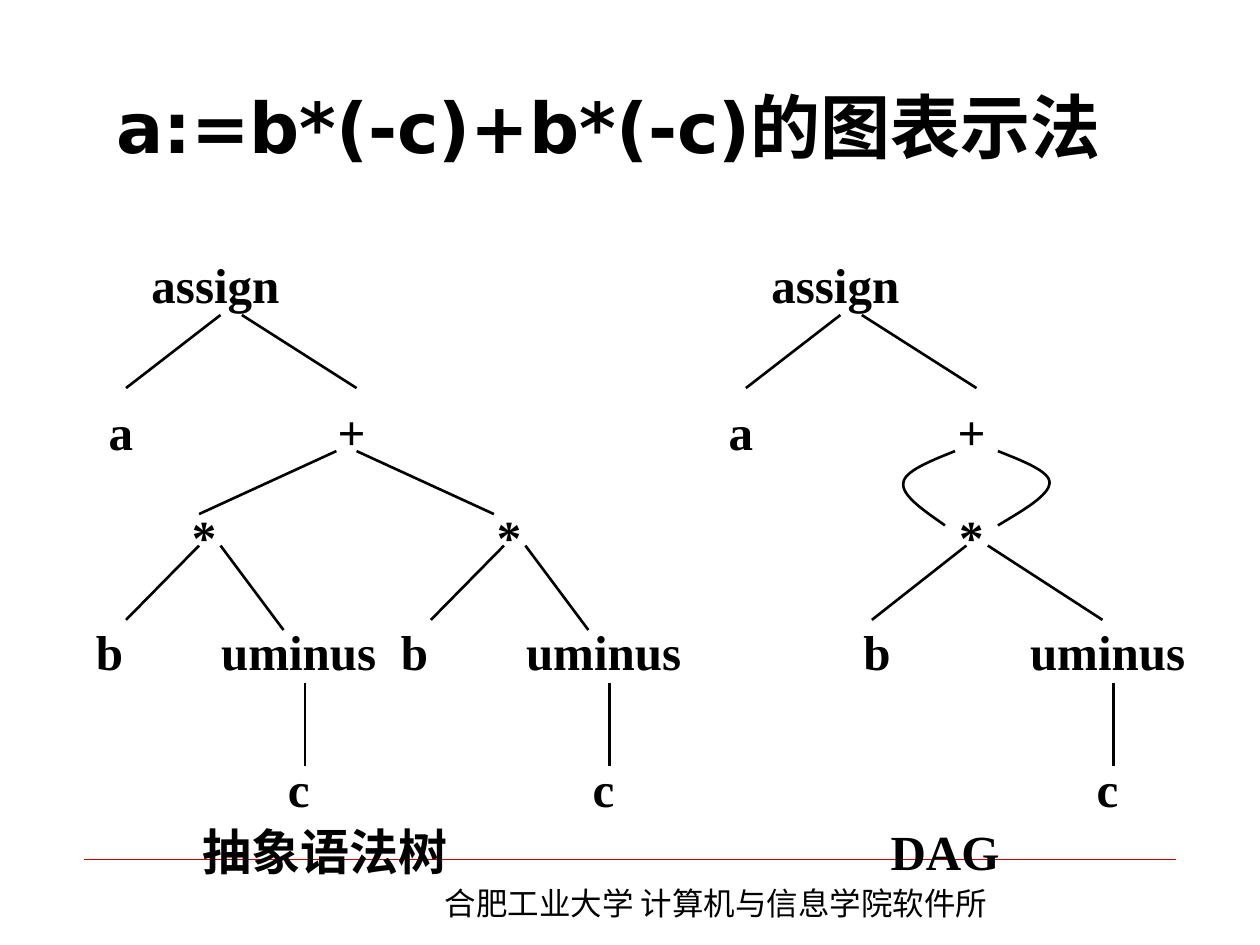
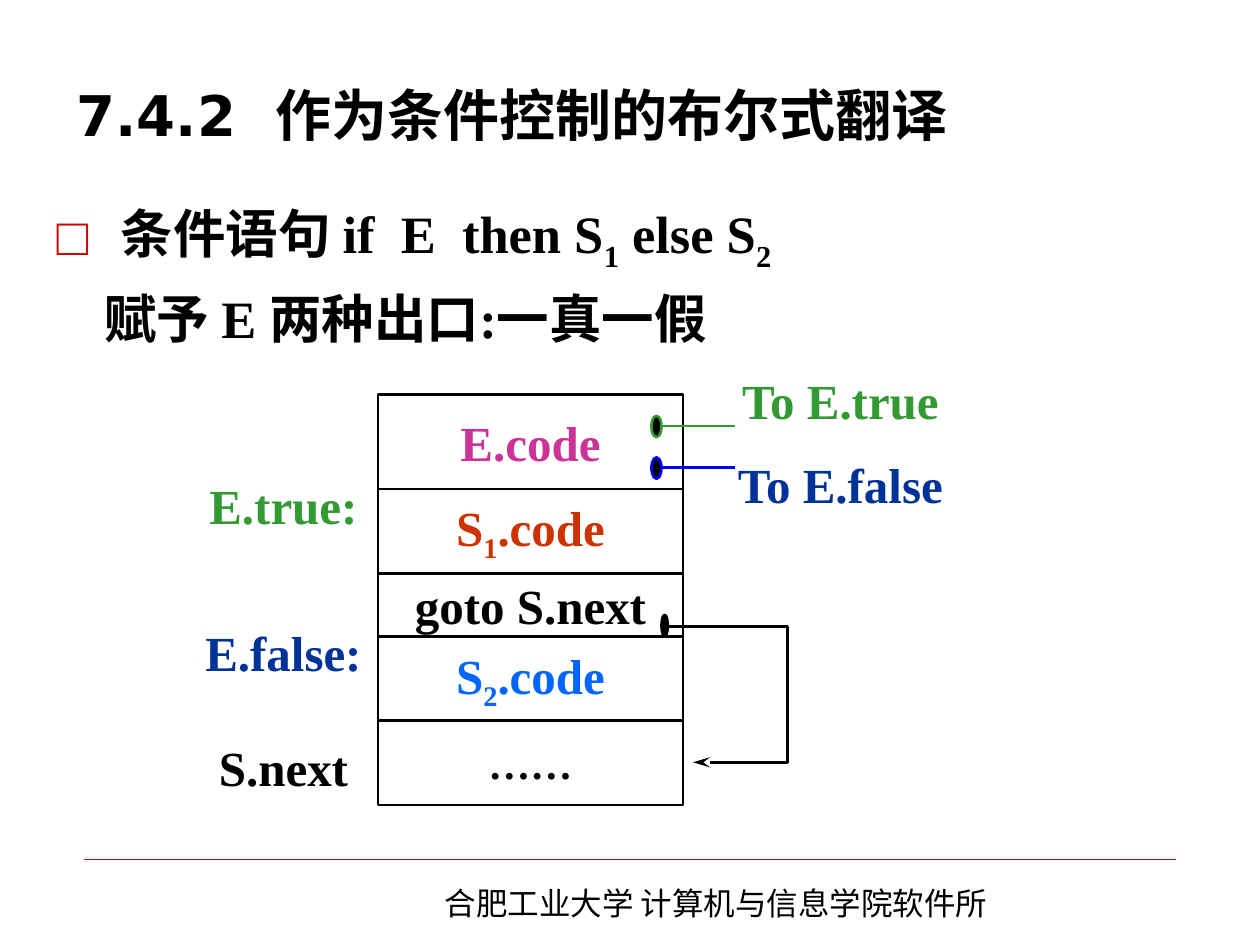
"""Build two slides on syntax graphs and the translation of Boolean conditions."""
from lxml.etree import SubElement
from pptx import Presentation
from pptx.dml.color import RGBColor as RGB
from pptx.enum.shapes import MSO_CONNECTOR as CON, MSO_SHAPE as SHAPE
from pptx.enum.text import MSO_ANCHOR as ANCHOR, PP_ALIGN as ALIGN
from pptx.oxml.ns import qn
from pptx.util import Inches, Pt

HUE = {"ink": "000000", "rule": "CC0000", "pink": "CC3399", "rust": "CC3300",
       "sky": "0066FF", "green": "339933", "navy": "003399", "blue": "0000FF"}
SERIF, SANS, HAN = "Times New Roman", "DejaVu Sans", "Noto Sans CJK SC"


def write(para, runs, tone="ink", size=28, face=SERIF, bold=True):
    for part in runs:
        run = para.add_run()
        run.text = part
        font = run.font
        font.size, font.bold, font.name = Pt(size), bold, face
        font.color.rgb = RGB.from_string(HUE[tone])
        props = run._r.get_or_add_rPr()
        SubElement(props, qn("a:ea")).set("typeface", HAN)
        if part.isdigit():
            props.set("baseline", "-25000")


def link(slide, x1, y1, x2, y2, tone="ink", width=1.5):
    line = slide.shapes.add_connector(
        CON.STRAIGHT, Inches(x1), Inches(y1), Inches(x2), Inches(y2))
    line.line.color.rgb = RGB.from_string(HUE[tone])
    line.line.width = Pt(width)
    SubElement(line._element.spPr, qn("a:effectLst"))


deck = Presentation()
deck.slide_width, deck.slide_height = Inches(10), Inches(7.5)

heads = [
    (" a:=b*(-c)+b*(-c)的图表示法", 40, (0.63, 0.33, 8.75, 1.33)),
    ("7.4.2  作为条件控制的布尔式翻译", 32, (0.51, 0.28, 8.67, 1.25)),
]
for words, size, area in heads:
    slide = deck.slides.add_slide(deck.slide_layouts[5])
    link(slide, 0.67, 6.82, 9.33, 6.82, "rule", 0.25)
    foot = slide.shapes.add_textbox(
        Inches(3.43), Inches(6.97), Inches(5.04), Inches(0.4))
    foot.text_frame.word_wrap = True
    write(foot.text_frame.paragraphs[0], ["合肥工业大学 计算机与信息学院软件所"],
          size=18, face=HAN, bold=False)
    title = slide.shapes.title
    title.left, title.top, title.width, title.height = map(Inches, area)
    title.text_frame.vertical_anchor = ANCHOR.MIDDLE
    title.text_frame.paragraphs[0].alignment = ALIGN.LEFT
    write(title.text_frame.paragraphs[0], [words], size=size, face=SANS)

graph, flow = deck.slides

labels = [
    (graph, "抽象语法树", 2.58, 6.75, 2.4, "ink"),
    (graph, "DAG", 7.5, 6.75, 1.67, "ink"),
    (flow, "To E.true", 6.67, 3.17, 2, "green"),
    (flow, "To E.false", 6.67, 3.84, 2, "navy"),
    (flow, "E.true:", 2.25, 4.01, 1.5, "green"),
    (flow, "E.false:", 2.25, 5.17, 1.5, "navy"),
    (flow, "S.next", 2.25, 6.09, 1.5, "ink"),
]

for root in (1.71, 6.63):
    labels += [(graph, "assign", root, 2.25, 1.6, "ink"),
               (graph, "a", root - 0.75, 3.42, 1.08, "ink"),
               (graph, "+", root + 1.08, 3.42, 1.08, "ink")]
    link(graph, root + 0.04, 2.5, root - 0.71, 3.08)
    link(graph, root + 0.21, 2.5, root + 1.12, 3.08)

link(graph, 2.67, 3.58, 1.58, 4.08)
link(graph, 2.83, 3.58, 3.92, 4.08)

stars = [(1.62, 0.62, 0.75, 0.63, 5), (4.04, 0.62, 0.75, 0.63, 5),
         (7.71, 0.79, 1.08, 1.04, 4.92)]
for star, left, gap, right, low in stars:
    leaf = star + gap
    labels += [(graph, "*", star, 4.25, 1.08, "ink"),
               (graph, "b", star - 0.75, 5.17, 1.08, "ink"),
               (graph, "uminus", leaf, 5.17, 1.6, "ink"),
               (graph, "c", leaf, 6.25, 1.08, "ink")]
    link(graph, star - 0.04, 4.33, star - left, 4.92)
    link(graph, star + 0.13, 4.33, star + right, low)
    link(graph, leaf + 0.05, 5.42, leaf + 0.05, 6.08)

knots = (3.58, 3.66, 3.74, 3.83, 3.93, 4.05, 4.17)
bends = [(7.58, 7.38, 7.18, 7.17, 7.15, 7.33, 7.5),
         (7.92, 8.12, 8.33, 8.33, 8.33, 8.12, 7.92)]
paths = []
for bend in bends:
    ctrl = list(zip(bend, knots))
    curve = [ctrl[0]]
    for k in (0, 3):
        for step in range(1, 17):
            t = step / 16
            mix = ((1 - t) ** 3, 3 * t * (1 - t) ** 2, 3 * t * t * (1 - t), t ** 3)
            curve.append(tuple(sum(m * p[axis] for m, p in zip(mix, ctrl[k:k + 4]))
                               for axis in (0, 1)))
    paths.append((graph, curve, False))
paths.append((flow, [(5.3, 4.97), (6.25, 4.97), (6.25, 6.05), (5.5, 6.05)], True))

for slide, points, arrow in paths:
    spots = [(Inches(x), Inches(y)) for x, y in points]
    pen = slide.shapes.build_freeform(*spots[0], scale=1.0)
    pen.add_line_segments(spots[1:], close=False)
    shape = pen.convert_to_shape()
    shape.shadow.inherit = False
    shape.fill.background()
    shape.line.color.rgb = RGB.from_string(HUE["ink"])
    shape.line.width = Pt(1.5)
    if arrow:
        tip = SubElement(shape.line._get_or_add_ln(), qn("a:tailEnd"))
        tip.set("type", "stealth")
        tip.set("len", "lg")

body = flow.shapes.add_textbox(
    Inches(0.35), Inches(1.55), Inches(8.65), Inches(1.42)).text_frame
body.word_wrap = True
first, second = body.paragraphs[0], body.add_paragraph()
for para, left, hang in ((first, 0.51, -0.51), (second, 0.38, 0)):
    props = para._p.get_or_add_pPr()
    props.set("marL", str(Inches(left)))
    props.set("indent", str(Inches(hang)))
    para.alignment = ALIGN.JUSTIFY
mark = first._p.get_or_add_pPr()
SubElement(SubElement(mark, qn("a:buClr")), qn("a:srgbClr")).set("val", HUE["rule"])
SubElement(mark, qn("a:buFont")).set("typeface", SERIF)
SubElement(mark, qn("a:buChar")).set("char", "□")
second.space_before = Pt(7.5)
write(first, ["条件语句 if  E  then S", "1", " else S", "2"], size=30)
write(second, ["赋予 E 两种出口:一真一假"], size=30)

rows = [(["E.code"], 0.75, "pink", 28), (["S", "1", ".code"], 0.67, "rust", 28),
        (["goto S.next"], 0.5, "ink", 28), (["S", "2", ".code"], 0.67, "sky", 28),
        (["……"], 0.67, "ink", 24)]
top = 3.13
for runs, high, tone, size in rows:
    cell = flow.shapes.add_shape(
        SHAPE.RECTANGLE, Inches(3), Inches(top), Inches(2.42), Inches(high))
    cell.shadow.inherit = False
    cell.fill.background()
    cell.line.color.rgb = RGB.from_string(HUE["ink"])
    cell.line.width = Pt(1.5)
    frame = cell.text_frame
    frame.word_wrap, frame.vertical_anchor = False, ANCHOR.MIDDLE
    frame.paragraphs[0].alignment = ALIGN.CENTER
    write(frame.paragraphs[0], runs, tone, size)
    top += high

for x, y, wide, tone in ((5.17, 3.3, 0.08, "green"), (5.17, 3.63, 0.08, "blue"),
                         (5.25, 4.88, 0.05, "ink")):
    if tone != "ink":
        link(flow, 5.25, y + 0.08, 5.83, y + 0.08, tone)
    dot = flow.shapes.add_shape(
        SHAPE.OVAL, Inches(x), Inches(y), Inches(wide), Inches(0.17))
    dot.shadow.inherit = False
    dot.fill.solid()
    dot.fill.fore_color.rgb = RGB.from_string(HUE["ink"])
    dot.line.color.rgb = RGB.from_string(HUE[tone])
    dot.line.width = Pt(1.5)

for slide, words, x, y, wide, tone in labels:
    high = 0.67 if slide is graph else 0.58
    box = slide.shapes.add_textbox(
        Inches(x - wide / 2), Inches(y - high / 2), Inches(wide), Inches(high))
    frame = box.text_frame
    frame.word_wrap, frame.vertical_anchor = False, ANCHOR.MIDDLE
    frame.paragraphs[0].alignment = ALIGN.CENTER
    write(frame.paragraphs[0], [words], tone)

deck.save("out.pptx")
